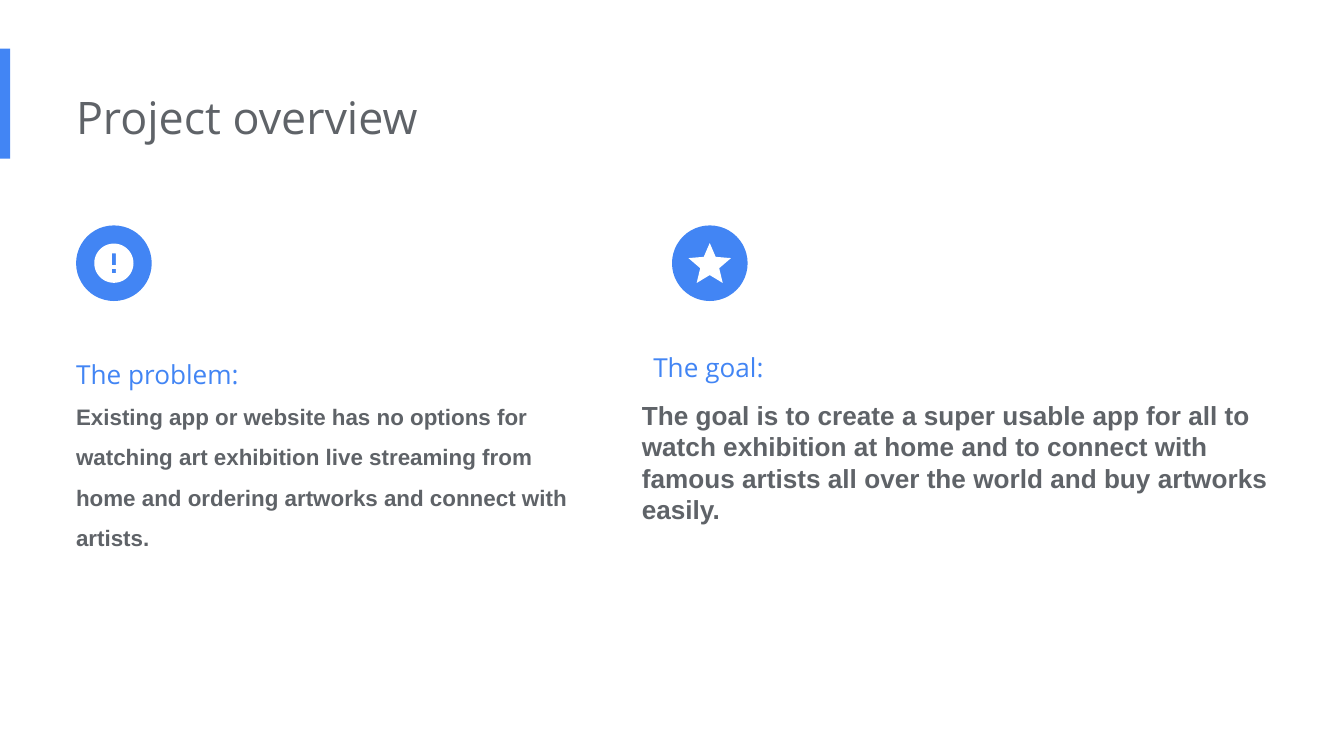
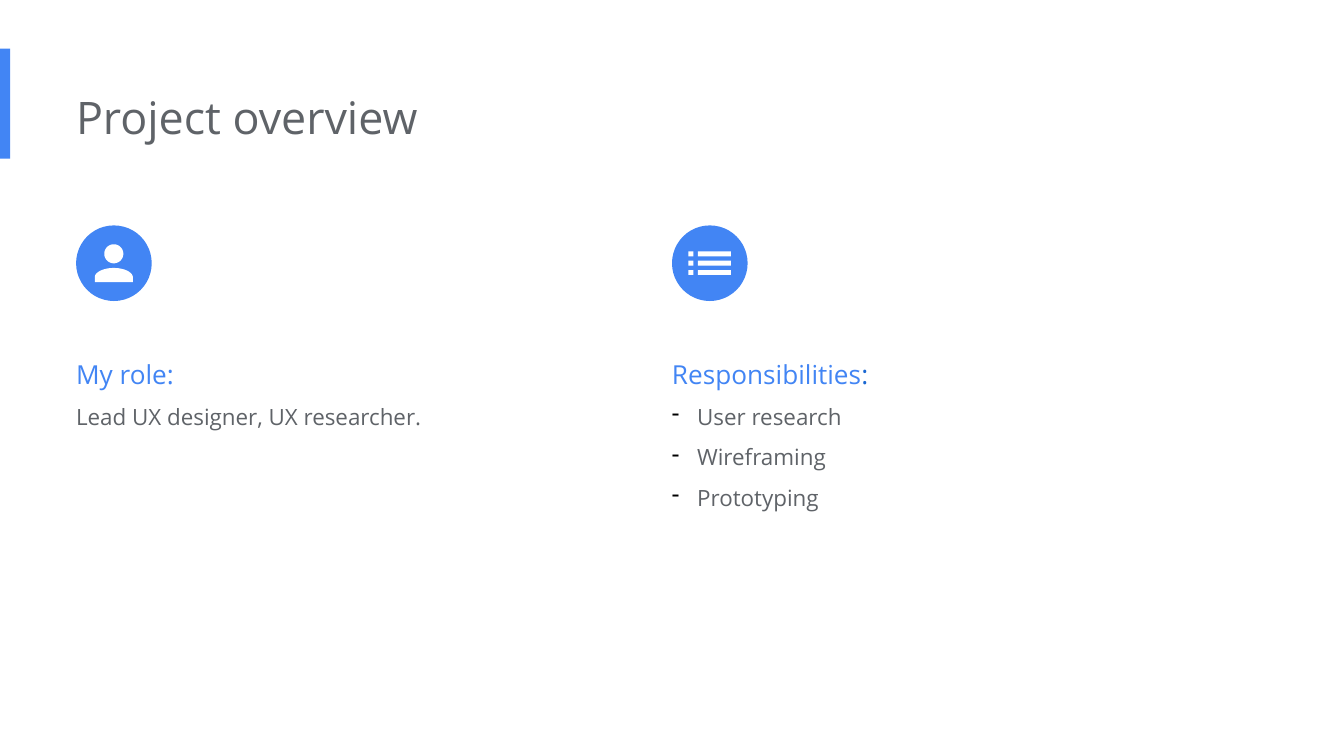
import math

from lxml import etree
from pptx import Presentation
from pptx.dml.color import RGBColor
from pptx.enum.shapes import MSO_SHAPE
from pptx.enum.text import MSO_AUTO_SIZE
from pptx.oxml.ns import qn
from pptx.util import Pt

RECTANGLE, OVAL = MSO_SHAPE.RECTANGLE, MSO_SHAPE.OVAL
GROW = MSO_AUTO_SIZE.SHAPE_TO_FIT_TEXT

BLUE, DEEP_BLUE, GREY = "4285F4", "1967D2", "5F6368"
WHITE, BLACK = "FFFFFF", "000000"
SANS, ARIAL = "Open Sans", "Arial"

LEFT, RIGHT = 40.75, 360
COLUMN_TOP, COLUMN_WIDTH = 176.4, 271.5
BADGE_TOP, BADGE_SIZE = 120.75, 40.5
FLUSH = (0, 7.2, 7.2, 7.2)
STANDARD = (7.2, 3.6, 7.2, 3.6)


def rgb(value):
    return RGBColor.from_string(value)


def paint(shape, color):
    shape.shadow.inherit = False
    shape.fill.solid()
    shape.fill.fore_color.rgb = rgb(color)
    shape.line.fill.background()


def add_block(slide, kind, box, color):
    paint(slide.shapes.add_shape(kind, *map(Pt, box)), color)


def add_frame(slide, box, insets=FLUSH):
    """Add an empty text box and return its text frame."""
    frame = slide.shapes.add_textbox(*map(Pt, box)).text_frame
    frame.word_wrap = True
    frame.auto_size = GROW
    (frame.margin_left, frame.margin_top,
     frame.margin_right, frame.margin_bottom) = map(Pt, insets)
    return frame


def add_dash(paragraph):
    properties = paragraph._p.get_or_add_pPr()
    properties.set("marL", str(Pt(13.5)))
    properties.set("indent", str(-Pt(13.5)))
    color = etree.SubElement(properties, qn("a:buClr"))
    etree.SubElement(color, qn("a:srgbClr"), val=BLACK)
    etree.SubElement(properties, qn("a:buChar"), char="-")


def write(frame, text, size=12, color=GREY, font=SANS, bold=False,
          spacing=1.5, dash=False, colon_color=None):
    """Add one paragraph; colon_color recolours a closing colon."""
    paragraph = frame.paragraphs[0]
    if paragraph.runs:
        paragraph = frame.add_paragraph()
    paragraph.line_spacing = spacing
    if dash:
        add_dash(paragraph)
    pieces = [(text, color)]
    if colon_color:
        pieces = [(text[:-1], color), (text[-1], colon_color)]
    for piece, piece_color in pieces:
        run = paragraph.add_run()
        run.text = piece
        run.font.size = Pt(size)
        run.font.name = font
        run.font.bold = bold
        run.font.color.rgb = rgb(piece_color)


def write_heading(frame, text, **style):
    write(frame, text, size=14, color=BLUE, **style)


def arc(center_y, radius_x, radius_y, start=0, end=360, step=5):
    angles = [math.radians(a) for a in range(start, end + 1, step)]
    return [(radius_x * math.cos(a), center_y + radius_y * math.sin(a))
            for a in angles]


def bar(left, top, right, bottom):
    return [(left, top), (left, bottom), (right, bottom), (right, top)]


# Icon outlines, measured from the centre of the badge.
def exclamation_icon():
    return [arc(0, 10.5, 10.5), bar(-1.1, -5.3, 1.1, 1),
            bar(-1.1, 3.1, 1.1, 5.3)]


def star_icon():
    half = [(0, -10.8), (3.2, -3.4), (11.4, -2.7), (5.1, 2.7), (7, 10.6), (0, 6.4)]
    return [half + [(-x, y) for x, y in half[-2:0:-1]]]


def person_icon():
    shoulders = arc(7.6, 10.2, 5, 180, 360)
    return [arc(-5, 5.1, 5.1), shoulders + [(10.2, 10.2), (-10.2, 10.2)]]


def list_icon():
    return [bar(left, y - 1.3, right, y + 1.3)
            for y in (-5, 0, 5)
            for left, right in ((-11.4, -8.7), (-6.4, 11.4))]


def add_badge(slide, left, outlines):
    add_block(slide, OVAL, (left, BADGE_TOP, BADGE_SIZE, BADGE_SIZE), BLUE)
    center_x, center_y = left + BADGE_SIZE / 2, BADGE_TOP + BADGE_SIZE / 2
    builder = None
    for outline in outlines:
        points = [(Pt(center_x + x), Pt(center_y + y)) for x, y in outline]
        if builder is None:
            builder = slide.shapes.build_freeform(*points[0])
        else:
            builder.move_to(*points[0])
        builder.add_line_segments(points[1:], close=True)
    paint(builder.convert_to_shape(), WHITE)


def add_overview_slide(deck, left_icon, right_icon):
    slide = deck.slides.add_slide(deck.slide_layouts[6])
    slide.background.fill.solid()
    slide.background.fill.fore_color.rgb = rgb(WHITE)
    add_block(slide, RECTANGLE, (0, 26, 5.5, 59), BLUE)
    title = add_frame(slide, (LEFT, 41, 484.5, 44))
    write(title, "Project overview", size=24, spacing=1)
    add_badge(slide, LEFT, left_icon)
    add_badge(slide, RIGHT, right_icon)
    return slide


def build_problem_and_goal(deck):
    slide = add_overview_slide(deck, exclamation_icon(), star_icon())

    problem = add_frame(slide, (LEFT, COLUMN_TOP, COLUMN_WIDTH, 127.5))
    write_heading(problem, "The problem:")
    write(problem, "Existing app or website has no options for watching art "
          "exhibition live streaming from home and ordering artworks and "
          "connect with artists.", font=ARIAL, bold=True)

    goal_heading = add_frame(slide, (350, 172.6, COLUMN_WIDTH, 40.5))
    write_heading(goal_heading, "The goal:")
    goal = add_frame(slide, (336.75, 210.3, 370, 75), STANDARD)
    write(goal, "The goal is to create a super usable app for all to watch "
          "exhibition at home and to connect with famous artists all over the "
          "world and buy artworks easily.",
          size=14, font=ARIAL, bold=True, spacing=1)


def build_role_and_responsibilities(deck):
    slide = add_overview_slide(deck, person_icon(), list_icon())

    role = add_frame(slide, (LEFT, COLUMN_TOP, COLUMN_WIDTH, 62))
    write_heading(role, "My role:")
    write(role, "Lead UX designer, UX researcher.")

    duties = add_frame(slide, (RIGHT, COLUMN_TOP, COLUMN_WIDTH, 105))
    write_heading(duties, "Responsibilities:", colon_color=DEEP_BLUE)
    for duty in ("User research", "Wireframing", "Prototyping"):
        write(duties, duty, dash=True)


def main():
    deck = Presentation()
    deck.slide_width, deck.slide_height = Pt(720), Pt(405)
    build_problem_and_goal(deck)
    build_role_and_responsibilities(deck)
    deck.save("out.pptx")


if __name__ == "__main__":
    main()
